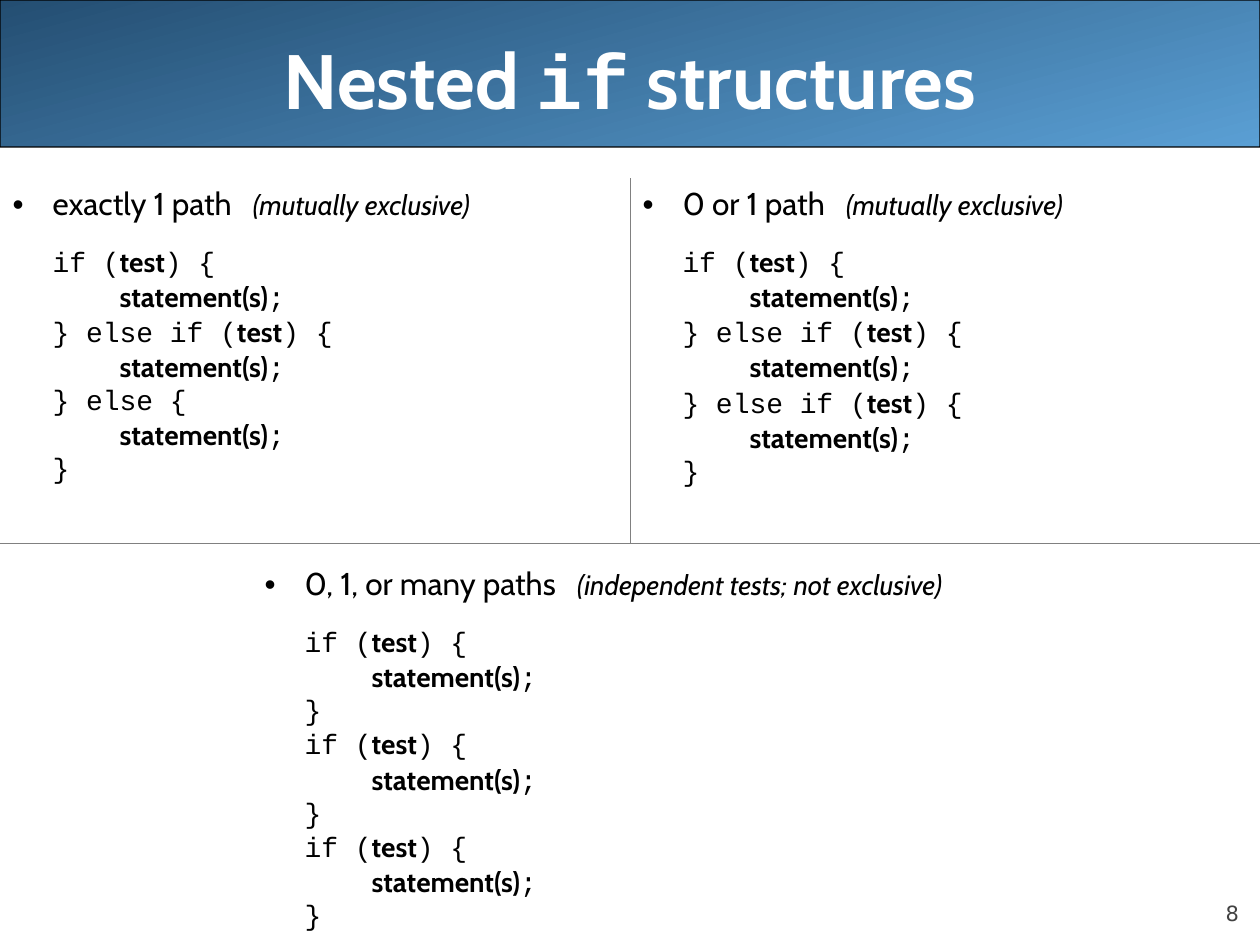
from lxml import etree
from pptx import Presentation
from pptx.dml.color import RGBColor
from pptx.enum.shapes import MSO_SHAPE
from pptx.enum.text import MSO_ANCHOR, PP_ALIGN
from pptx.oxml import parse_xml
from pptx.oxml.ns import nsdecls, qn
from pptx.util import Pt

ROUND = MSO_SHAPE.ROUNDED_RECTANGLE
MIDDLE = MSO_ANCHOR.MIDDLE
BOTTOM = MSO_ANCHOR.BOTTOM
CENTER = PP_ALIGN.CENTER
RIGHT = PP_ALIGN.RIGHT
PX = 914400 // 126

THEME = {
    "dark": "244E72", "light": "5A9FD4", "ink": "000000", "white": "FFFFFF",
    "rule": "808080", "page": "424242",
    "title": 44, "head": 18, "code": 16, "num": 12,
    "sans": "Cabin", "mono": "Courier New", "plain": "DejaVu Sans",
}


def add_run(para, text, face, size, color="ink", bold=False, slant=False):
    run = para.add_run()
    run.text = text
    font = run.font
    font.name = THEME[face]
    font.size = Pt(THEME[size])
    font.color.rgb = RGBColor.from_string(THEME[color])
    font.bold = bold
    font.italic = slant
    return run


def indent(para, left, hang=0):
    props = para._p.get_or_add_pPr()
    props.set("marL", str(left * PX))
    props.set("indent", str(-hang * PX))
    return props


deck = Presentation()
deck.slide_width = 1260 * PX
deck.slide_height = 945 * PX
slide = deck.slides.add_slide(deck.slide_layouts[5])
shapes = slide.shapes

band = shapes.add_shape(ROUND, 0, 0, 1260 * PX, 147 * PX)
band.adjustments[0] = 0.001
band.shadow.inherit = False
band.fill.gradient()
band.fill.gradient_angle = 285
for stop, name in zip(band.fill.gradient_stops, ("dark", "light")):
    stop.color.rgb = RGBColor.from_string(THEME[name])
band.line.color.rgb = RGBColor.from_string(THEME["ink"])
band.line.width = Pt(0.75)

title = shapes.title
title.left, title.top = 63 * PX, 0
title.width, title.height = 1134 * PX, 158 * PX
title.text_frame.vertical_anchor = MIDDLE
para = title.text_frame.paragraphs[0]
para.alignment = CENTER
for text, face in (("Nested ", "sans"), ("if", "mono"), (" structures", "sans")):
    add_run(para, text, face, "title", "white", bold=True)
title.element.addprevious(band.element)

num = shapes.add_textbox(1134 * PX, 876 * PX, 105 * PX, 50 * PX)
frame = num.text_frame
frame.word_wrap = True
frame.vertical_anchor = BOTTOM
frame.margin_left = frame.margin_right = frame.margin_top = frame.margin_bottom = 0
para = frame.paragraphs[0]
para.alignment = RIGHT
add_run(para, "8", "plain", "num", "page")

table = shapes.add_table(2, 2, 0, 179 * PX, 1260 * PX, 777 * PX).table
table.first_row = False
table.horz_banding = False
for row, high in zip(table.rows, (364, 413)):
    row.height = high * PX
table.cell(1, 0).merge(table.cell(1, 1))

EDGES = {(0, 0): "RB", (0, 1): "LB", (1, 0): "T", (1, 1): "T"}
for (row, col), sides in EDGES.items():
    cell = table.cell(row, col)
    props = cell._tc.get_or_add_tcPr()
    for side in sides:
        props.append(parse_xml(
            f'<a:ln{side} {nsdecls("a")} w="2921"><a:solidFill>'
            f'<a:srgbClr val="{THEME["rule"]}"/></a:solidFill></a:ln{side}>'))
    cell.fill.background()

IF = "if (|test|) {"
ELIF = "} else if (|test|) {"
ELSE = "} else {"
END = "}"
BODY = "|statement(s)|;"

PANES = [
    (0, 0, 40, 6, "exactly 1 path", "(mutually exclusive)",
     [IF, BODY, ELIF, BODY, ELSE, BODY, END]),
    (0, 1, 40, 6, "0 or 1 path", "(mutually exclusive)",
     [IF, BODY, ELIF, BODY, ELIF, BODY, END]),
    (1, 0, 292, 22, "0, 1, or many paths", "(independent tests; not exclusive)",
     [IF, BODY, END] * 3),
]

for row, col, left, top, head, note, code in PANES:
    cell = table.cell(row, col)
    cell.margin_top = top * PX
    frame = cell.text_frame
    para = frame.paragraphs[0]
    para.space_before = Pt(4)
    add_run(para, head, "sans", "head")
    gap = add_run(para, " ", "sans", "head")
    gap.font._element.set("spc", "800")
    add_run(para, note, "sans", "code", slant=True)
    props = indent(para, left, 40)
    etree.SubElement(props, qn("a:buFont")).set("typeface", "Arial")
    etree.SubElement(props, qn("a:buChar")).set("char", "•")

    for row_no, line in enumerate(code):
        para = frame.add_paragraph()
        para.line_spacing = 0.8
        para.space_before = Pt(4 if row_no else 15)
        indent(para, left + (67 if line == BODY else 0))
        for part_no, part in enumerate(line.split("|")):
            if part:
                word = part_no % 2 == 1
                add_run(para, part, "sans" if word else "mono", "code", bold=word)

deck.save("out.pptx")
